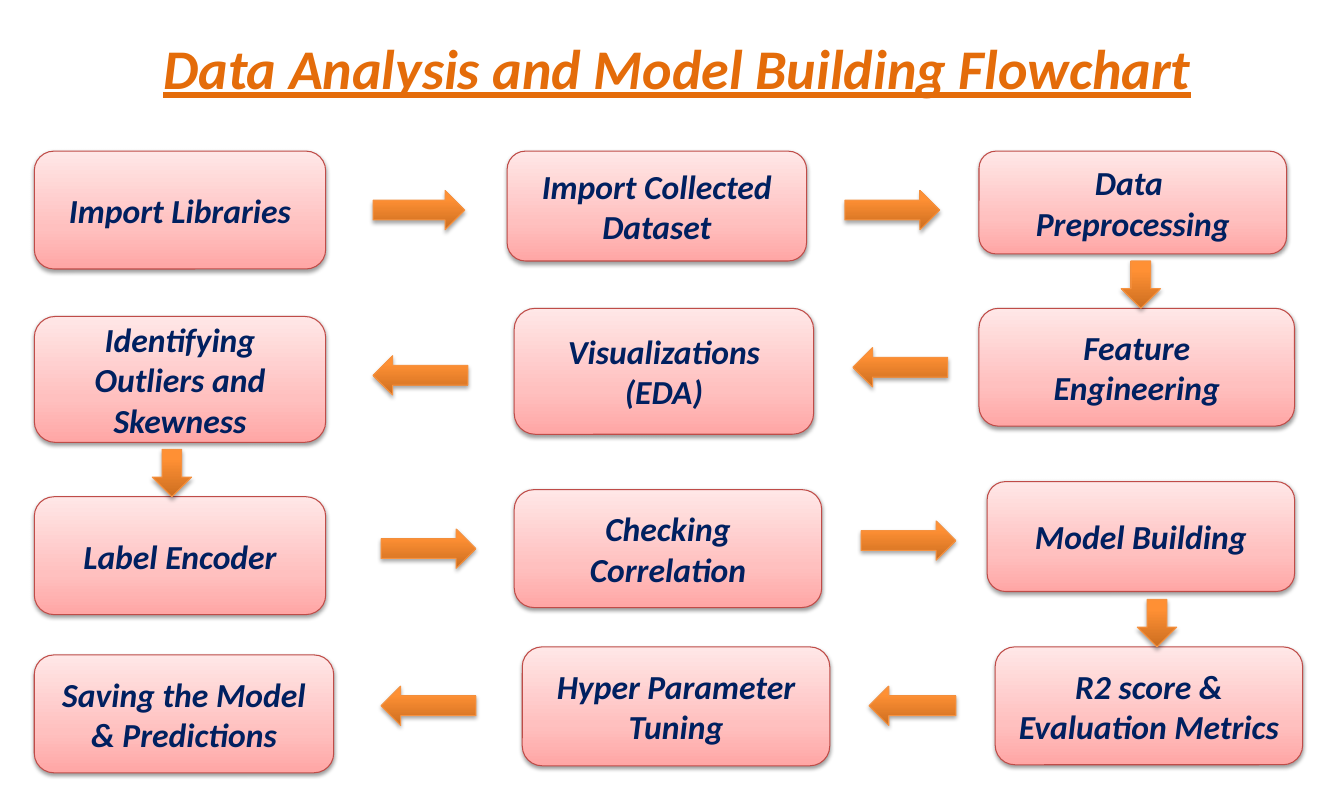
"""Build the data analysis and model building flowchart slide."""
from pptx import Presentation
from pptx.dml.color import RGBColor
from pptx.enum import shapes, text
from pptx.oxml import parse_xml
from pptx.oxml.ns import nsdecls
from pptx.util import Inches, Pt

TITLE = "Data Analysis and Model Building Flowchart"
STEPS = [
    ("Import Libraries", 0.34, 1.5, 2.89, 1.17),
    ("Import Collected Dataset", 5.03, 1.5, 2.97, 1.09),
    ("Data \nPreprocessing", 9.71, 1.5, 3.05, 1.02),
    ("Feature\nEngineering", 9.71, 3.06, 3.13, 1.17),
    ("Visualizations\n(EDA)", 5.1, 3.06, 2.97, 1.25),
    ("Identifying Outliers and Skewness", 0.34, 3.14, 2.89, 1.25),
    ("Label Encoder", 0.34, 4.93, 2.89, 1.17),
    ("Checking\nCorrelation", 5.1, 4.86, 3.05, 1.17),
    ("Model Building", 9.79, 4.78, 3.05, 1.09),
    ("R2 score & Evaluation Metrics", 9.87, 6.42, 3.05, 1.17),
    ("Hyper Parameter Tuning", 5.18, 6.42, 3.05, 1.18),
    ("Saving the Model & Predictions", 0.34, 6.5, 2.97, 1.17),
]
THICK = 0.39
ARROWS = {
    "RIGHT_ARROW": [(3.7, 1.89, 0.91), (8.38, 1.89, 0.94),
                    (3.78, 5.25, 0.94), (8.54, 5.17, 0.94)],
    "LEFT_ARROW": [(8.46, 3.45, 0.94), (3.7, 3.53, 0.94),
                   (8.62, 6.81, 0.86), (3.78, 6.81, 0.94)],
    "DOWN_ARROW": [(11.12, 2.59, 0.47), (1.51, 4.46, 0.47), (11.28, 5.95, 0.47)],
}
STEP_STYLE = {"stops": [(0, "FFA6A5"), (35, "FFC0BF"), (100, "FFE7E7")],
              "line": "BF4C48", "alpha": 38, "dist": 1.6}
ARROW_STYLE = {"stops": [(0, "CC6E20"), (80, "FF9034"), (100, "FF9136")],
               "line": "F69240", "alpha": 35, "dist": 1.8}
STEP_FONT = {"name": "Calibri", "size": Pt(24), "bold": True, "italic": True}
TITLE_FONT = {**STEP_FONT, "size": Pt(40), "underline": True}


def rgb(value):
    return RGBColor.from_string(value)


def write(tf, content, font, color):
    tf.text = content
    tf.word_wrap = True
    tf.auto_size = text.MSO_AUTO_SIZE.NONE
    tf.vertical_anchor = text.MSO_ANCHOR.MIDDLE
    for p in tf.paragraphs:
        p.alignment = text.PP_ALIGN.CENTER
        for r in p.runs:
            for key, value in font.items():
                setattr(r.font, key, value)
            r.font.color.rgb = rgb(color)


def add_part(slide, kind, box, style):
    s = slide.shapes.add_shape(kind, *map(Inches, box))
    stops = "".join(f'<a:gs pos="{pos * 1000}"><a:srgbClr val="{color}"/></a:gs>'
                    for pos, color in style["stops"])
    sp_pr = s.element.spPr
    sp_pr.append(parse_xml(
        f'<a:gradFill {nsdecls("a")} rotWithShape="1"><a:gsLst>{stops}</a:gsLst>'
        '<a:lin ang="16200000" scaled="0"/></a:gradFill>'))
    s.line.color.rgb = rgb(style["line"])
    s.line.width = Pt(0.75)
    sp_pr.append(parse_xml(
        f'<a:effectLst {nsdecls("a")}><a:outerShdw blurRad="{Pt(3.1)}" '
        f'dist="{Pt(style["dist"])}" dir="5400000" rotWithShape="0">'
        f'<a:srgbClr val="000000"><a:alpha val="{style["alpha"] * 1000}"/>'
        '</a:srgbClr></a:outerShdw></a:effectLst>'))
    return s


def main():
    prs = Presentation()
    prs.slide_width, prs.slide_height = Inches(13.33), Inches(7.84)
    slide = prs.slides.add_slide(prs.slide_layouts[5])

    title = slide.shapes.title
    title.left, title.top, title.width, title.height = map(
        Inches, (0.67, 0.31, 12.09, 0.71))
    tf = title.text_frame
    tf.margin_left = tf.margin_right = Inches(0.14)
    tf.margin_top = tf.margin_bottom = Inches(0.07)
    write(tf, TITLE, TITLE_FONT, "E46C0A")

    for label, *box in STEPS:
        s = add_part(slide, shapes.MSO_SHAPE.ROUNDED_RECTANGLE, box, STEP_STYLE)
        write(s.text_frame, label, STEP_FONT, "002060")

    for name, places in ARROWS.items():
        for x, y, length in places:
            size = (THICK, length) if name == "DOWN_ARROW" else (length, THICK)
            add_part(slide, shapes.MSO_SHAPE[name], (x, y, *size), ARROW_STYLE)

    prs.save("out.pptx")


if __name__ == "__main__":
    main()
